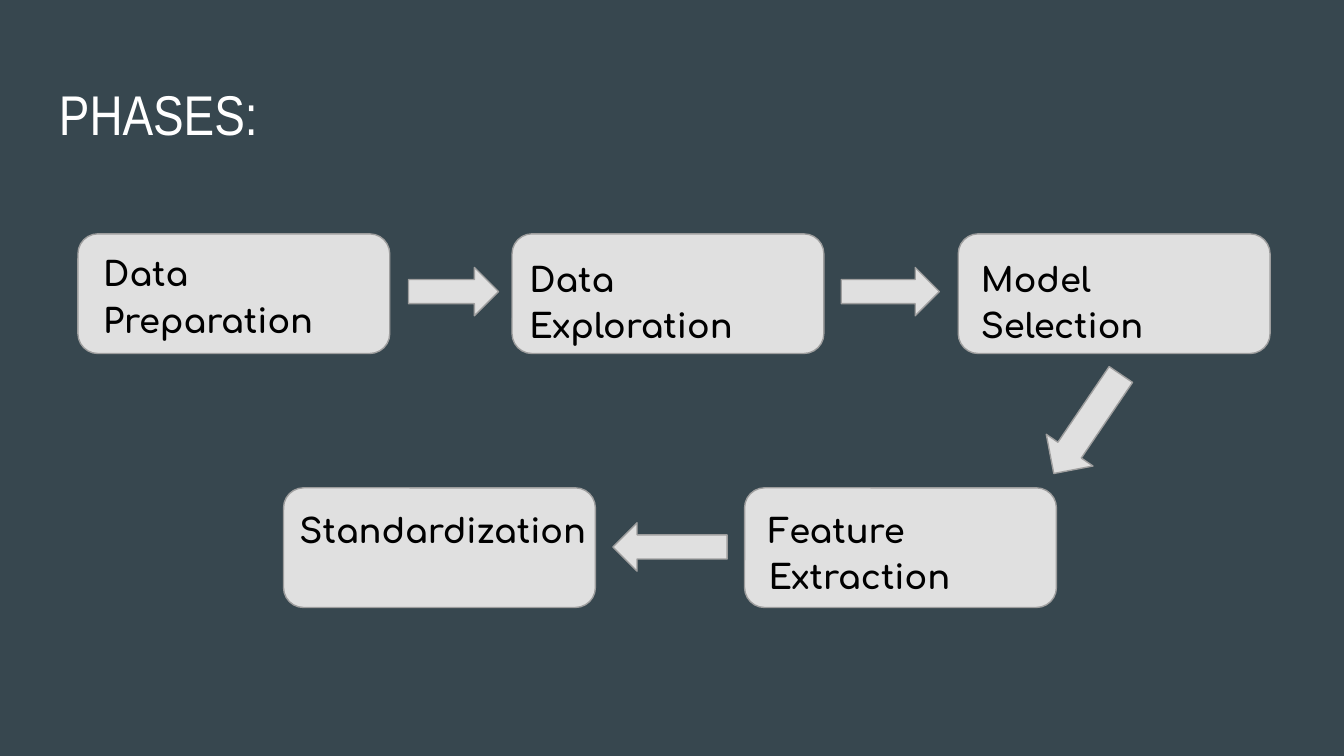
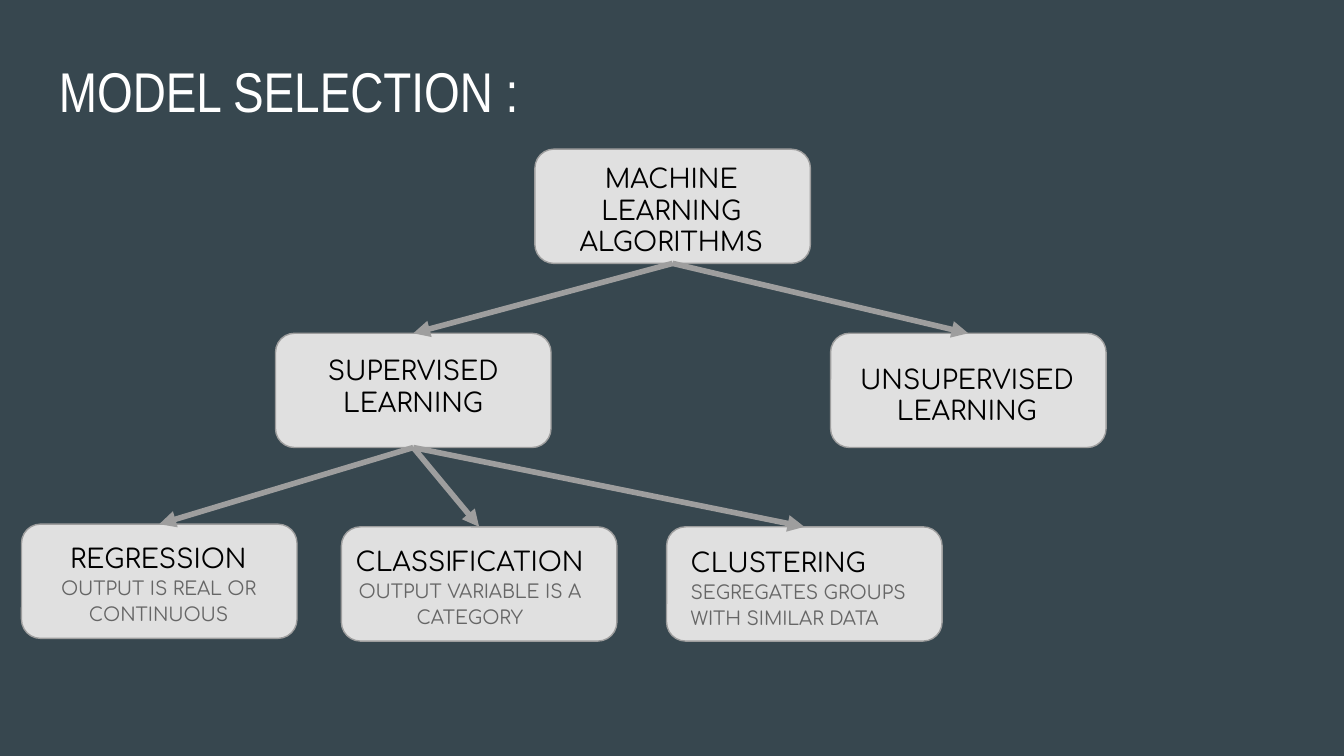
"""Build two slides: the project phases and the model selection tree."""
from pptx import Presentation
from pptx.dml.color import RGBColor
from pptx.enum.shapes import MSO_CONNECTOR, MSO_SHAPE as SHAPE
from pptx.enum.text import PP_ALIGN as ALIGN
from pptx.oxml.ns import qn
from pptx.util import Inches, Pt
from lxml.etree import SubElement

COLORS = {"back": "37474F", "title": "FFFFFF", "box": "E0E0E0",
          "line": "9E9E9E", "text": "000000", "detail": "666666"}
TITLE_FONT, BODY_FONT = "Arial Narrow", "Comfortaa"

PHASE_SIZE = (2.32, 0.89)
PHASES = [
    ("Data Preparation", (0.58, 1.74), (0.67, 1.74, 2.14, 0.89)),
    ("Data Exploration", (3.81, 1.74), (3.84, 1.78, 2.26, 0.89)),
    ("Model Selection", (7.13, 1.74), (7.2, 1.78, 2.26, 0.78)),
    ("Feature Extraction", (5.54, 3.63), (5.62, 3.65, 2.16, 0.84)),
    ("Standardization", (2.11, 3.63), (2.13, 3.65, 2.49, 0.84)),
]
PHASE_ARROWS = [
    (SHAPE.RIGHT_ARROW, (3.04, 1.99, 0.67, 0.36), 0),
    (SHAPE.RIGHT_ARROW, (6.26, 1.99, 0.73, 0.36), 0),
    (SHAPE.DOWN_ARROW, (7.88, 2.71, 0.42, 0.89), 34.1),
    (SHAPE.LEFT_ARROW, (4.56, 3.89, 0.85, 0.36), 0),
]

NODE_SIZE = (2.05, 0.85)
NODES = [
    ("MACHINE LEARNING ALGORITHMS", "", (3.98, 1.11), (4.1, 1.11, 1.79, 0.81), ALIGN.CENTER),
    ("SUPERVISED LEARNING", "", (2.05, 2.48), (2.18, 2.54, 1.79, 0.81), ALIGN.CENTER),
    ("UNSUPERVISED LEARNING", "", (6.18, 2.48), (6.3, 2.6, 1.79, 0.81), ALIGN.CENTER),
    ("REGRESSION", "OUTPUT IS REAL OR CONTINUOUS",
     (0.16, 3.9), (0.18, 3.9, 2, 0.85), ALIGN.CENTER),
    ("CLASSIFICATION", "OUTPUT VARIABLE IS A CATEGORY",
     (2.54, 3.92), (2.47, 3.92, 2.05, 0.85), ALIGN.CENTER),
    ("CLUSTERING", "SEGREGATES GROUPS WITH SIMILAR DATA",
     (4.96, 3.92), (5.04, 3.93, 1.92, 0.81), ALIGN.LEFT),
]
BRANCHES = {
    "MACHINE LEARNING ALGORITHMS": ["SUPERVISED LEARNING", "UNSUPERVISED LEARNING"],
    "SUPERVISED LEARNING": ["REGRESSION", "CLASSIFICATION", "CLUSTERING"],
}


def rgb(name):
    return RGBColor.from_string(COLORS[name])


def add_text(slide, at, lines, font=BODY_FONT, bold=False, align=ALIGN.LEFT,
             spacing=1.0, after=0):
    tf = slide.shapes.add_textbox(*map(Inches, at)).text_frame
    tf.word_wrap = True
    tf.margin_left = tf.margin_right = tf.margin_top = tf.margin_bottom = Inches(0.1)
    for i, (text, size, color) in enumerate(lines):
        p = tf.add_paragraph() if i else tf.paragraphs[0]
        p.alignment, p.line_spacing, p.space_after = align, spacing, Pt(after)
        r = p.add_run()
        r.text = text
        r.font.name, r.font.size, r.font.bold = font, Pt(size), bold
        r.font.color.rgb = rgb(color)


def add_shape(slide, kind, at, rotation=0):
    sp = slide.shapes.add_shape(kind, *map(Inches, at))
    sp.shadow.inherit = False
    sp.fill.solid()
    sp.fill.fore_color.rgb = rgb("box")
    sp.line.color.rgb = rgb("line")
    sp.line.width = Pt(0.75)
    sp.rotation = rotation
    return sp


def add_branch(slide, parent, child):
    line = slide.shapes.add_connector(MSO_CONNECTOR.STRAIGHT, 0, 0, 0, 0)
    line.begin_connect(parent, 2)
    line.end_connect(child, 0)
    line.line.color.rgb = rgb("line")
    line.line.width = Pt(3)
    SubElement(line.line._get_or_add_ln(), qn("a:tailEnd"), type="triangle")
    SubElement(line._element.spPr, qn("a:effectLst"))


def add_slide(prs, title, top):
    slide = prs.slides.add_slide(prs.slide_layouts[6])
    slide.background.fill.solid()
    slide.background.fill.fore_color.rgb = rgb("back")
    add_text(slide, (0.34, top, 9.32, 0.63), [(title, 30, "title")], TITLE_FONT)
    return slide


def build_phases(prs):
    slide = add_slide(prs, "PHASES:", 0.49)
    for text, corner, text_at in PHASES:
        add_shape(slide, SHAPE.ROUNDED_RECTANGLE, corner + PHASE_SIZE)
        add_text(slide, text_at, [(text, 18, "text")], bold=True, spacing=1.15, after=16)
    for arrow in PHASE_ARROWS:
        add_shape(slide, *arrow)


def build_model_selection(prs):
    slide = add_slide(prs, "MODEL SELECTION :", 0.32)
    boxes = {name: add_shape(slide, SHAPE.ROUNDED_RECTANGLE, corner + NODE_SIZE)
             for name, _, corner, _, _ in NODES}
    for parent, children in BRANCHES.items():
        for child in children:
            add_branch(slide, boxes[parent], boxes[child])
    for name, detail, _, text_at, align in NODES:
        lines = [(name, 14, "text")]
        if detail:
            lines.append((detail, 10, "detail"))
        add_text(slide, text_at, lines, align=align, spacing=1.15 if detail else 1.0)


def main():
    prs = Presentation()
    prs.slide_width = Inches(10)
    prs.slide_height = prs.slide_width * 9 // 16
    build_phases(prs)
    build_model_selection(prs)
    prs.save("out.pptx")


if __name__ == "__main__":
    main()
